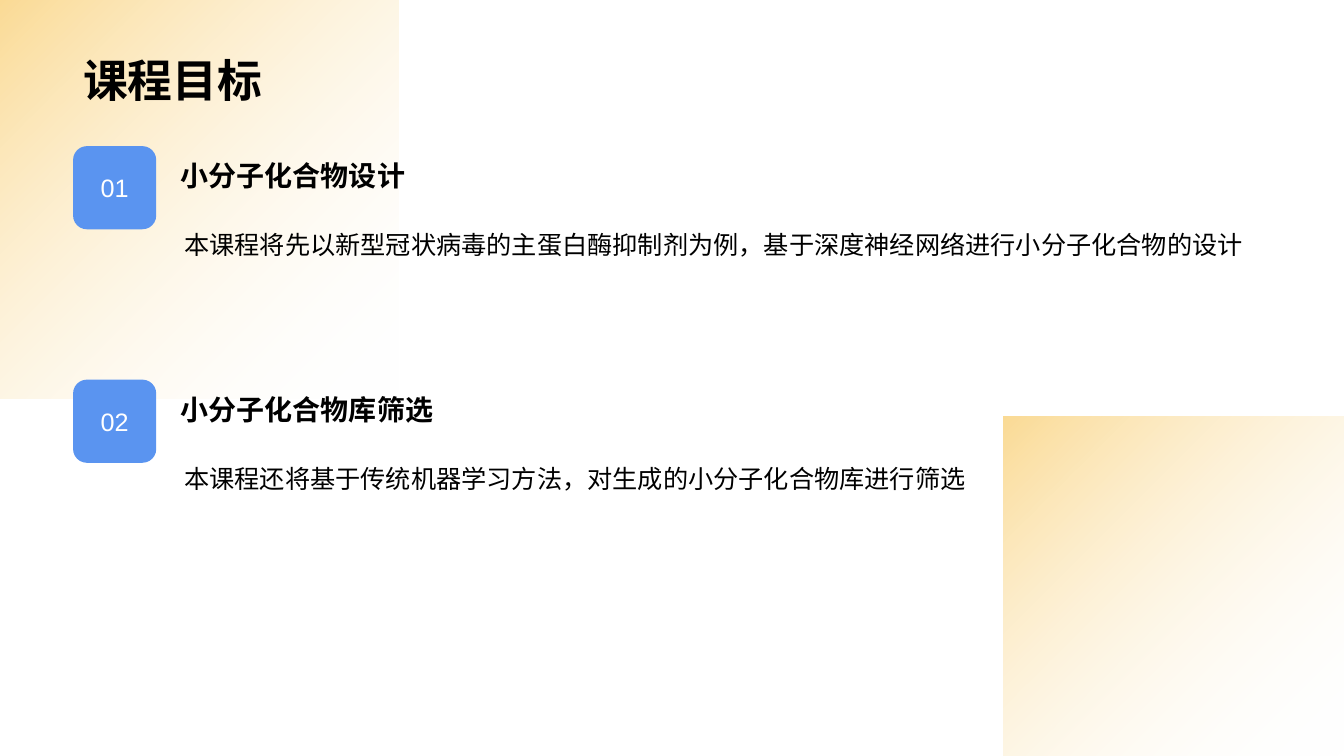
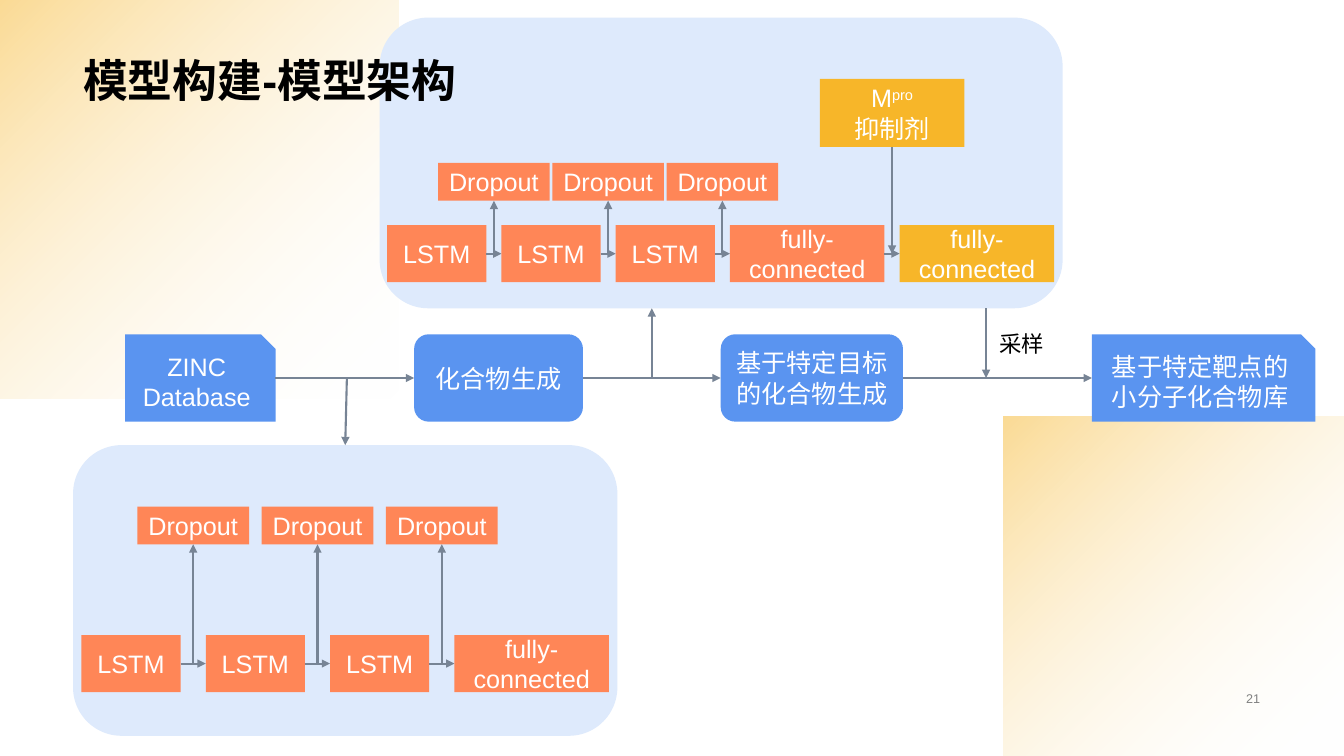
from itertools import pairwise

from lxml.etree import SubElement
from pptx import Presentation
from pptx.dml.color import RGBColor
from pptx.enum.shapes import MSO_CONNECTOR, MSO_SHAPE
from pptx.enum.text import MSO_ANCHOR, PP_ALIGN
from pptx.oxml import parse_xml
from pptx.oxml.ns import qn
from pptx.util import Emu, Pt

# The slide is a grid of 160 columns by 90 rows of square cells.
COLS, ROWS, CELL = 160, 90, 76200
EDGE = 8.7

BLACK = RGBColor(0x00, 0x00, 0x00)
WHITE = RGBColor(0xFF, 0xFF, 0xFF)
GREY = RGBColor(0x80, 0x80, 0x80)
SLATE = RGBColor(0x77, 0x84, 0x95)
BLUE = RGBColor(0x5A, 0x94, 0xF0)
PALE = RGBColor(0xDE, 0xEA, 0xFC)
CORAL = RGBColor(0xFF, 0x86, 0x57)
GOLD = RGBColor(0xF7, 0xB6, 0x29)

LATIN, HAN = "Arial", "Noto Sans CJK SC"
RECT, ROUND = MSO_SHAPE.RECTANGLE, MSO_SHAPE.ROUNDED_RECTANGLE
SNIP = MSO_SHAPE.SNIP_1_RECTANGLE
LEFT, MID, RIGHT = PP_ALIGN.LEFT, PP_ALIGN.CENTER, PP_ALIGN.RIGHT

# Each style: font values, text colour, paragraph values, anchor.
STYLES = {
    "title": (dict(size=Pt(32), bold=True, name=LATIN), BLACK,
              dict(alignment=LEFT, line_spacing=0.9), MSO_ANCHOR.BOTTOM),
    "head": (dict(size=Pt(20), bold=True, name=HAN), BLACK,
             dict(alignment=LEFT), MSO_ANCHOR.MIDDLE),
    "body": (dict(size=Pt(18), name=HAN), BLACK,
             dict(alignment=LEFT), MSO_ANCHOR.TOP),
    "node": (dict(size=Pt(18), name=LATIN), WHITE,
             dict(alignment=MID), MSO_ANCHOR.MIDDLE),
    "label": (dict(size=Pt(16), name=LATIN), BLACK,
              dict(alignment=LEFT), MSO_ANCHOR.MIDDLE),
    "page": (dict(size=Pt(9), name=LATIN), GREY,
             dict(alignment=RIGHT), MSO_ANCHOR.MIDDLE),
}

GLOW = (
    '<a:gradFill xmlns:a="http://schemas.openxmlformats.org/drawingml/2006/main"'
    ' rotWithShape="1"><a:gsLst>'
    f'<a:gs pos="0"><a:srgbClr val="{GOLD}"><a:alpha val="50000"/></a:srgbClr></a:gs>'
    f'<a:gs pos="100000"><a:srgbClr val="{WHITE}"><a:alpha val="0"/></a:srgbClr></a:gs>'
    '</a:gsLst><a:path path="circle">'
    '<a:fillToRect r="100000" b="100000"/></a:path></a:gradFill>'
)

ITEMS = [
    ("小分子化合物设计",
     "本课程将先以新型冠状病毒的主蛋白酶抑制剂为例，基于深度神经网络进行小分子化合物的设计"),
    ("小分子化合物库筛选",
     "本课程还将基于传统机器学习方法，对生成的小分子化合物库进行筛选"),
]

# Each step of the flow: shape, left, width, text.
STEPS = [
    (SNIP, 14.9, 17.9, "ZINC\nDatabase"),
    (ROUND, 49.3, 20.1, "化合物生成"),
    (ROUND, 85.8, 21.7, "基于特定目标的化合物生成"),
    (SNIP, 130, 26.6, "基于特定靶点的小分子化合物库"),
]
FLOW, STEP_H = 45, 10.4
CELL_W, CELL_H, FULL_W = 11.8, 6.8, 18.4
DROP_W, DROP_H = 13.3, 4.5


def grid(*cells):
    return [Emu(round(n * CELL)) for n in cells]


def write(frame, text, style):
    """Fill a frame; a caret in a line starts a superscript."""
    fonts, tint, paras, anchor = STYLES[style]
    frame.word_wrap = True
    frame.vertical_anchor = anchor
    for row, line in enumerate(text.split("\n")):
        para = frame.add_paragraph() if row else frame.paragraphs[0]
        for key, val in paras.items():
            setattr(para, key, val)
        for part, piece in enumerate(line.split("^")):
            run = para.add_run()
            run.text = piece
            for key, val in fonts.items():
                setattr(run.font, key, val)
            run.font.color.rgb = tint
            props = run._r.get_or_add_rPr()
            SubElement(props, qn("a:ea")).set("typeface", HAN)
            if part:
                props.set("baseline", "30000")


def note(slide, area, text, style):
    write(slide.shapes.add_textbox(*grid(*area)).text_frame, text, style)


def block(slide, kind, area, fill=None, text="", style="node"):
    shape = slide.shapes.add_shape(kind, *grid(*area))
    shape.shadow.inherit = False
    shape.line.fill.background()
    if fill is None:
        shape.fill.background()
    else:
        shape.fill.solid()
        shape.fill.fore_color.rgb = fill
    if text:
        write(shape.text_frame, text, style)
    return shape


def arrow(slide, start, end, width=1.5):
    link = slide.shapes.add_connector(
        MSO_CONNECTOR.STRAIGHT, *grid(*start, *end))
    link.line.color.rgb = SLATE
    link.line.width = Pt(width)
    props = link._element.spPr
    SubElement(props.find(qn("a:ln")), qn("a:tailEnd")).set("type", "triangle")
    SubElement(props, qn("a:effectLst"))


def glow(slide, left, top, side):
    shape = block(slide, RECT, (left, top, side, side))
    props = shape._element.spPr
    props.replace(props.find(qn("a:noFill")), parse_xml(GLOW))


def start(deck):
    """Add a slide with the shared backdrop."""
    slide = deck.slides.add_slide(deck.slide_layouts[6])
    glow(slide, 0, 0, 47.4)
    glow(slide, 119.5, 49.6, 40.4)
    return slide


def title(slide, text):
    note(slide, (EDGE, 0, 142.5, 13.4), text, "title")


def chain(slide, left, top, gap, drop):
    """Draw three LSTM cells with dropout and a dense layer; give its right end."""
    pitch, mid = CELL_W + gap, top + CELL_H / 2
    for i in range(3):
        here = left + i * pitch
        end = here + CELL_W
        hub = end + gap / 2
        block(slide, RECT, (here, top, CELL_W, CELL_H), CORAL, "LSTM")
        block(slide, RECT, (hub - DROP_W / 2, drop, DROP_W, DROP_H),
              CORAL, "Dropout")
        arrow(slide, (end, mid), (end + gap, mid))
        arrow(slide, (hub, mid), (hub, drop + DROP_H))
    dense = left + 3 * pitch
    block(slide, RECT, (dense, top, FULL_W, CELL_H), CORAL, "fully-connected")
    return dense + FULL_W


def goals(deck):
    slide = start(deck)
    for i, (head, body) in enumerate(ITEMS):
        top = 17.4 + i * 27.8
        block(slide, ROUND, (EDGE, top, 9.9, 9.9), BLUE, f"{i + 1:02}")
        block(slide, ROUND, (20, top, 36.2, 7), None, head, "head")
        block(slide, ROUND, (20, top + 8.6, 131.2, 15.6), None, body, "body")
    title(slide, "课程目标")


def flow(slide):
    for kind, left, width, text in STEPS:
        block(slide, kind, (left, FLOW - STEP_H / 2, width, STEP_H), BLUE, text)
    for (_, left, width, _), (_, end, _, _) in pairwise(STEPS):
        arrow(slide, (left + width, FLOW), (end, FLOW))


def model(deck):
    slide = start(deck)
    note(slide, (117.7, 81.8, 33.5, 2.8), "21", "page")
    flow(slide)

    low, base = 53, 36.7
    block(slide, ROUND, (EDGE, low, 64.8, 34.6), PALE)
    chain(slide, 9.7, 75.6, 3, 60.3)
    arrow(slide, (41.3, FLOW), (41.1, low))

    block(slide, ROUND, (45.2, base - 34.6, 81.3, 34.6), PALE)
    arrow(slide, (77.6, FLOW), (77.6, base))
    top, gap = 26.8, 1.8
    mid = top + CELL_H / 2
    end = chain(slide, 46.1, top, gap, 19.4)
    block(slide, RECT, (end + gap, top, FULL_W, CELL_H), GOLD, "fully-connected")
    arrow(slide, (end, mid), (end + gap, mid))

    hub = end + gap / 2
    block(slide, RECT, (hub - 8.6, 9.4, 17.2, 8.1), GOLD, "M^pro\n抑制剂")
    arrow(slide, (hub, 17.5), (hub, mid), 1)
    arrow(slide, (117.4, base), (117.4, FLOW))
    note(slide, (117.8, 38.3, 8.6, 5.1), "采样", "label")
    title(slide, "模型构建-模型架构")


def main():
    deck = Presentation()
    deck.slide_width, deck.slide_height = grid(COLS, ROWS)
    goals(deck)
    model(deck)
    deck.save("out.pptx")


if __name__ == "__main__":
    main()
